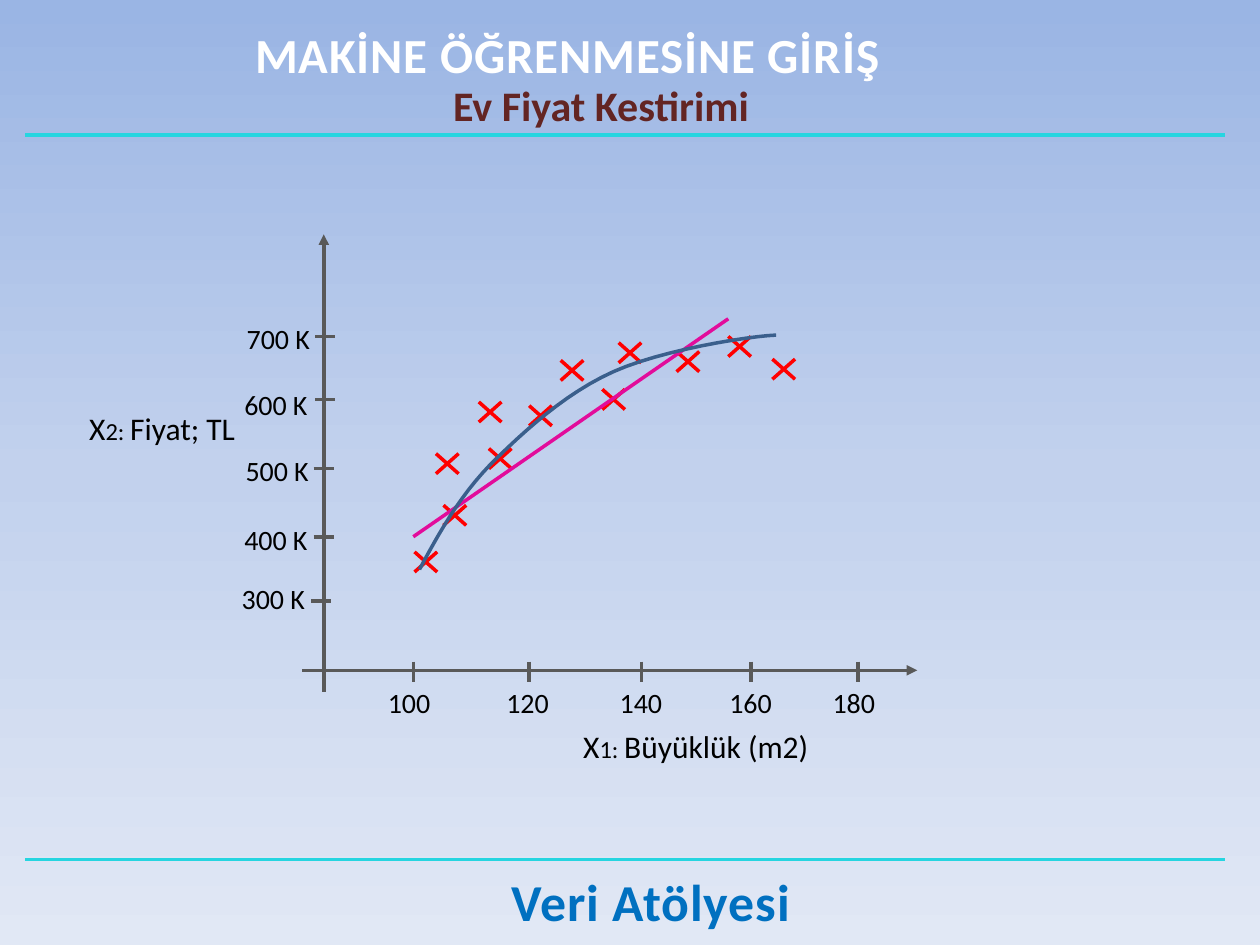
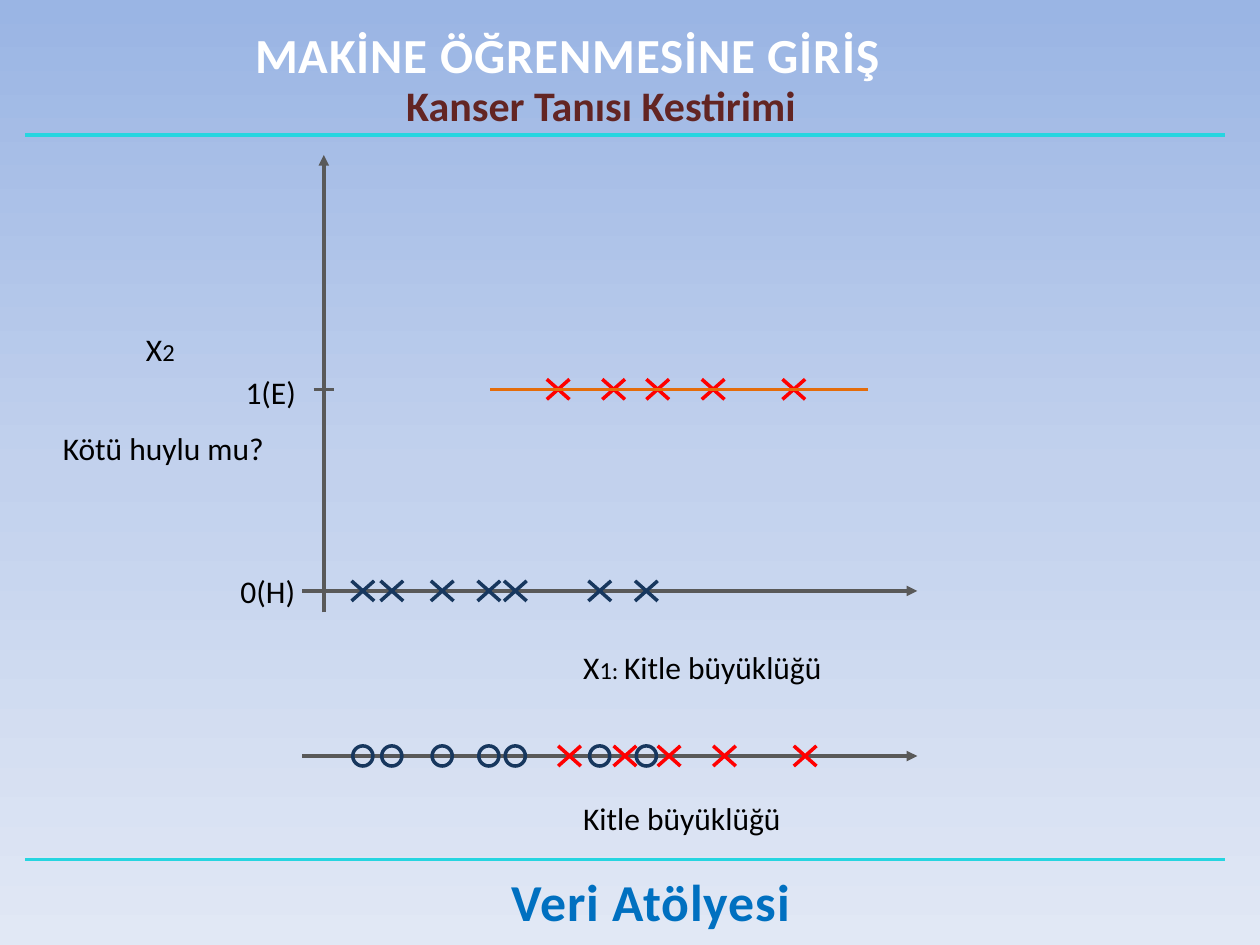
from copy import deepcopy
from lxml import etree
from pptx import Presentation
from pptx.dml.color import RGBColor
from pptx.enum.shapes import MSO_CONNECTOR, MSO_SHAPE
from pptx.enum.text import MSO_ANCHOR, PP_ALIGN
from pptx.oxml.ns import qn
from pptx.util import Inches, Pt

LINE, OVAL = MSO_CONNECTOR.STRAIGHT, MSO_SHAPE.OVAL
LEFT, MID = PP_ALIGN.LEFT, PP_ALIGN.CENTER
TOP, CENTER = MSO_ANCHOR.TOP, MSO_ANCHOR.MIDDLE

WHITE = RGBColor(0xFF, 0xFF, 0xFF)
BLACK = RGBColor(0x00, 0x00, 0x00)
BLUE = RGBColor(0x00, 0x70, 0xC0)
CYAN = RGBColor(0x26, 0xD5, 0xE0)
BROWN = RGBColor(0x63, 0x25, 0x23)
GREY = RGBColor(0x59, 0x59, 0x59)
RED = RGBColor(0xFF, 0x00, 0x00)
PINK = RGBColor(0xE2, 0x0C, 0x9B)
STEEL = RGBColor(0x3A, 0x5F, 0x8C)
NAVY = RGBColor(0x17, 0x37, 0x5E)
ORANGE = RGBColor(0xE4, 0x6C, 0x0A)
SKY = [(0, RGBColor(0x9A, 0xB5, 0xE4)), (0.5, RGBColor(0xC2, 0xD1, 0xED)),
       (1, RGBColor(0xE1, 0xE8, 0xF5))]

FONT = "Calibri"
THICK = Pt(2)

# Grid: 100 columns by 75 rows of equal square cells
deck = Presentation()
deck.slide_width, deck.slide_height = Inches(10), Inches(7.5)
CELL = deck.slide_width / 100


def stroke(slide, x1, y1, x2, y2, color, arrow=False):
    ends = [round(v * CELL) for v in (x1, y1, x2, y2)]
    link = slide.shapes.add_connector(LINE, *ends)
    link.line.color.rgb = color
    link.line.width = THICK
    props = link.element.spPr
    if arrow:
        etree.SubElement(props.find(qn("a:ln")), qn("a:tailEnd"), type="triangle")
    etree.SubElement(props, qn("a:effectLst"))


def write(slide, area, runs, color=BLACK, bold=False, align=LEFT, wrap=False):
    box = slide.shapes.add_textbox(*[round(v * CELL) for v in area])
    frame = box.text_frame
    frame.word_wrap = wrap
    para = frame.paragraphs[0]
    para.alignment = align
    for words, size in runs:
        run = para.add_run()
        run.text = words
        run.font.name = FONT
        run.font.size = Pt(size)
        run.font.bold = bold
        run.font.color.rgb = color
    return box


# Shared frame: background, rules, title, topic and footer
pages = []
for topic in ("Ev Fiyat Kestirimi", "Kanser Tanısı Kestirimi"):
    page = deck.slides.add_slide(deck.slide_layouts[6])
    pages.append(page)
    fill = page.background.fill
    fill.gradient()
    fill.gradient_angle = 270
    stops = next(page.element.iter(qn("a:gsLst")))
    stops.append(deepcopy(stops[0]))
    for stop, (place, tint) in zip(fill.gradient_stops, SKY):
        stop.position = place
        stop.color.rgb = tint

    for row in (68.2, 10.7):
        stroke(page, 2, row, 97.2, row, CYAN)

    for area, words, size, color, anchor, space in (
            ((23.2, 69, 55.9, 5.7), "Veri Atölyesi", 29.6, BLUE, TOP, 0.8),
            ((9.1, 1.3, 70.9, 5.5), "MAKİNE ÖĞRENMESİNE GİRİŞ", 28, WHITE, CENTER, 1)):
        box = write(page, area, [(words, size)], color, True, MID, True)
        frame = box.text_frame
        frame.vertical_anchor = anchor
        frame.margin_left, frame.margin_top = Inches(0.2), Inches(0.1)
        para = frame.paragraphs[0]
        para.line_spacing = space
        para.space_before = Pt(2.5)
        hang = Inches(0.29)
        for props in box.element.iter(qn("a:pPr")):
            props.set("marL", str(hang))
            props.set("indent", str(-hang))
        for props in box.element.iter(qn("a:rPr")):
            props.set("spc", "50")
    write(page, (9.1, 5.8, 77.2, 5), [(topic, 24)], BROWN, True, MID, True)

house, tumor = pages

# Axes
for page, base in ((house, 53.2), (tumor, 46.9)):
    stroke(page, 24, base, 72.8, base, GREY, True)
    stroke(page, 25.7, base + 1.7, 25.7, base - 34.6, GREY, True)
stroke(tumor, 24, 60, 72.8, 60, GREY, True)

# Crosses, by centre
homes = [(38.9, 32.7), (45.4, 29.4), (39.7, 36.4), (36.1, 40.9),
         (42.9, 33), (35.5, 36.8), (33.8, 44.6), (48.7, 31.7),
         (50, 28), (54.6, 28.7), (58.7, 27.5), (62.2, 29.3)]
benign = [28.8, 31.1, 35.1, 38.8, 40.9, 47.6, 51.3]
malign = [44.3, 48.7, 52.2, 56.6, 63]
marks = [(house, RED, homes),
         (tumor, NAVY, [(x, 46.9) for x in benign]),
         (tumor, RED, [(x, 30.9) for x in malign]),
         (tumor, RED, [(x + 0.9, 60) for x in malign])]
for page, color, spots in marks:
    for x, y in spots:
        for rise in (0.8, -0.8):
            stroke(page, x - 0.9, y - rise, x + 0.9, y + rise, color)

# House prices: linear fit
stroke(house, 57.8, 25.3, 32.8, 42.6, PINK)

# House prices: curved fit, sampled from three cubic arcs
knots = [(33.3, 45.2), (34.8, 42.4), (36.4, 39.5), (38.9, 36.9), (41.5, 34.3),
         (44.9, 31.2), (48.7, 29.5), (52.5, 27.8), (59.3, 26.7), (61.6, 26.6)]
STEPS = 12
curve = []
for first in (0, 3, 6):
    arc = knots[first:first + 4]
    for step in range(1, STEPS + 1):
        t = step / STEPS
        parts = ((1 - t) ** 3, 3 * t * (1 - t) ** 2, 3 * t * t * (1 - t), t ** 3)
        curve.append([CELL * sum(p * k[i] for p, k in zip(parts, arc)) for i in (0, 1)])
pen = house.shapes.build_freeform(*[v * CELL for v in knots[0]])
pen.add_line_segments(curve, close=False)
bend = pen.convert_to_shape()
bend.shadow.inherit = False
bend.fill.background()
bend.line.color.rgb = STEEL
bend.line.width = THICK

# House prices: ticks and labels
for price, left, row, col, top in (
        (300, 24.7, 47.7, 18.2, 45.7), (400, 24.9, 42.6, 18.4, 41),
        (500, 24.9, 37.2, 18.5, 35.5), (600, 25, 31.7, 18.4, 30.3),
        (700, 25, 26.7, 18.6, 25)):
    stroke(house, left, row, left + 1.6, row, GREY)
    write(house, (col, top, 7.1, 3.7), [(f"{price} K", 16)])
for size, tick, col in ((100, 32.8, 29.8), (120, 42, 39.2), (140, 50.9, 48.2),
                        (160, 59.6, 56.9), (180, 68.1, 65.1)):
    stroke(house, tick, 52.5, tick, 54.1, GREY)
    write(house, (col, 53.9, 5.4, 3.7), [(str(size), 16)])
write(house, (45.3, 57.2, 20.1, 4), [("X", 18), ("1: ", 14), ("Büyüklük (m2)", 18)])
write(house, (6.1, 32, 13.7, 4), [("X", 18), ("2: ", 14), ("Fiyat; TL", 18)])

# Tumor: malignant level, tick and labels
stroke(tumor, 38.9, 30.9, 68.9, 30.9, ORANGE)
stroke(tumor, 24.9, 30.9, 26.5, 30.9, GREY)
for col, row, wide, runs in (
        (45.3, 50.9, 21.2, [("X", 18), ("1: ", 14), ("Kitle büyüklüğü", 18)]),
        (10.6, 25.7, 4.3, [("X", 18), ("2", 14)]),
        (4, 33.6, 18.2, [("Kötü huylu mu?", 18)]),
        (18.5, 29.1, 6.1, [("1(E)", 18)]),
        (18.1, 44.9, 6.4, [("0(H)", 18)]),
        (45.3, 62.9, 17.9, [("Kitle büyüklüğü", 18)])):
    write(tumor, (col, row, wide, 4), runs)

# Tumor: benign rings on the lower axis
for x in benign:
    area = (x - 0.8, 59.2, 1.6, 1.6)
    ring = tumor.shapes.add_shape(OVAL, *[round(v * CELL) for v in area])
    ring.shadow.inherit = False
    ring.fill.background()
    ring.line.color.rgb = NAVY
    ring.line.width = THICK

deck.save("out.pptx")
